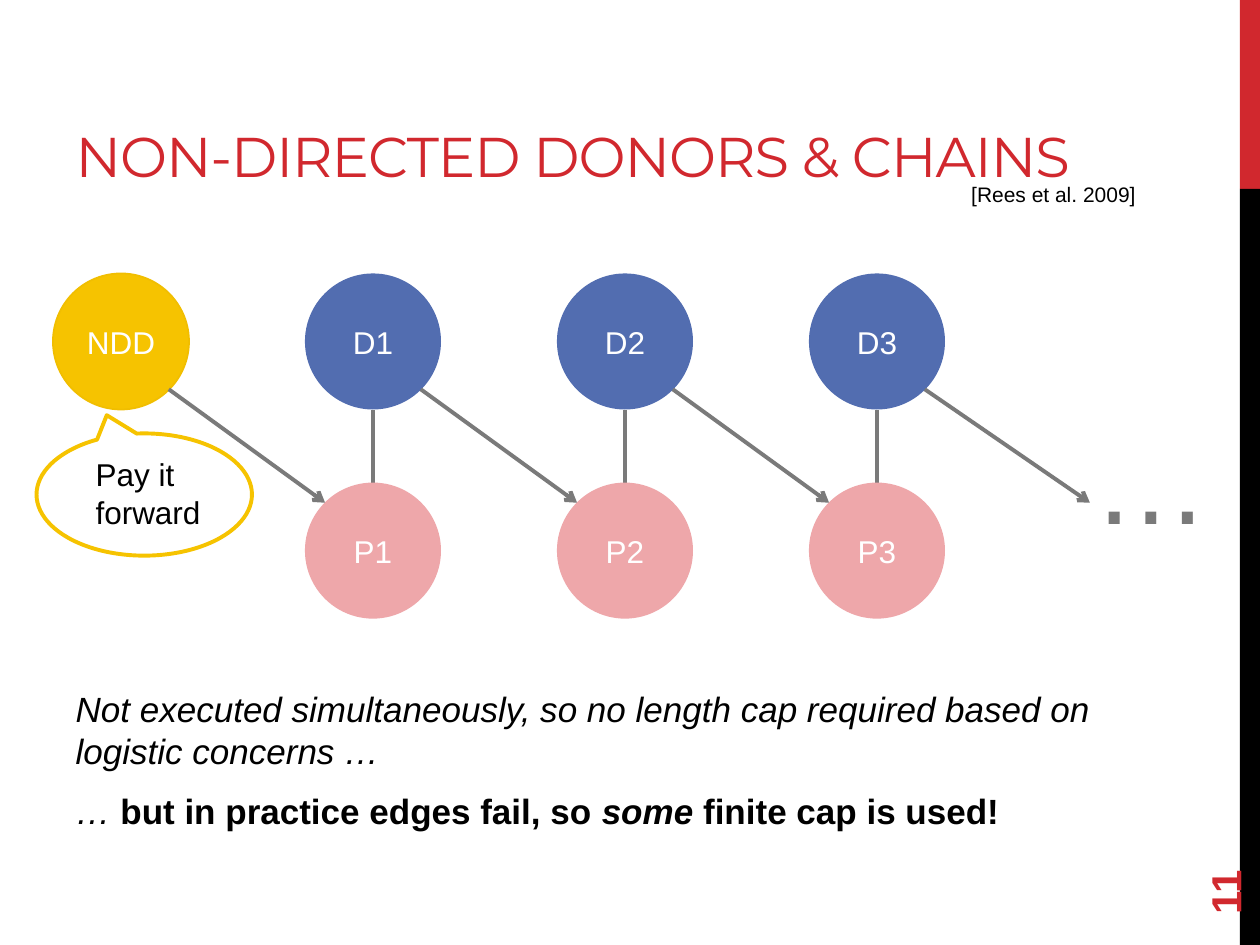
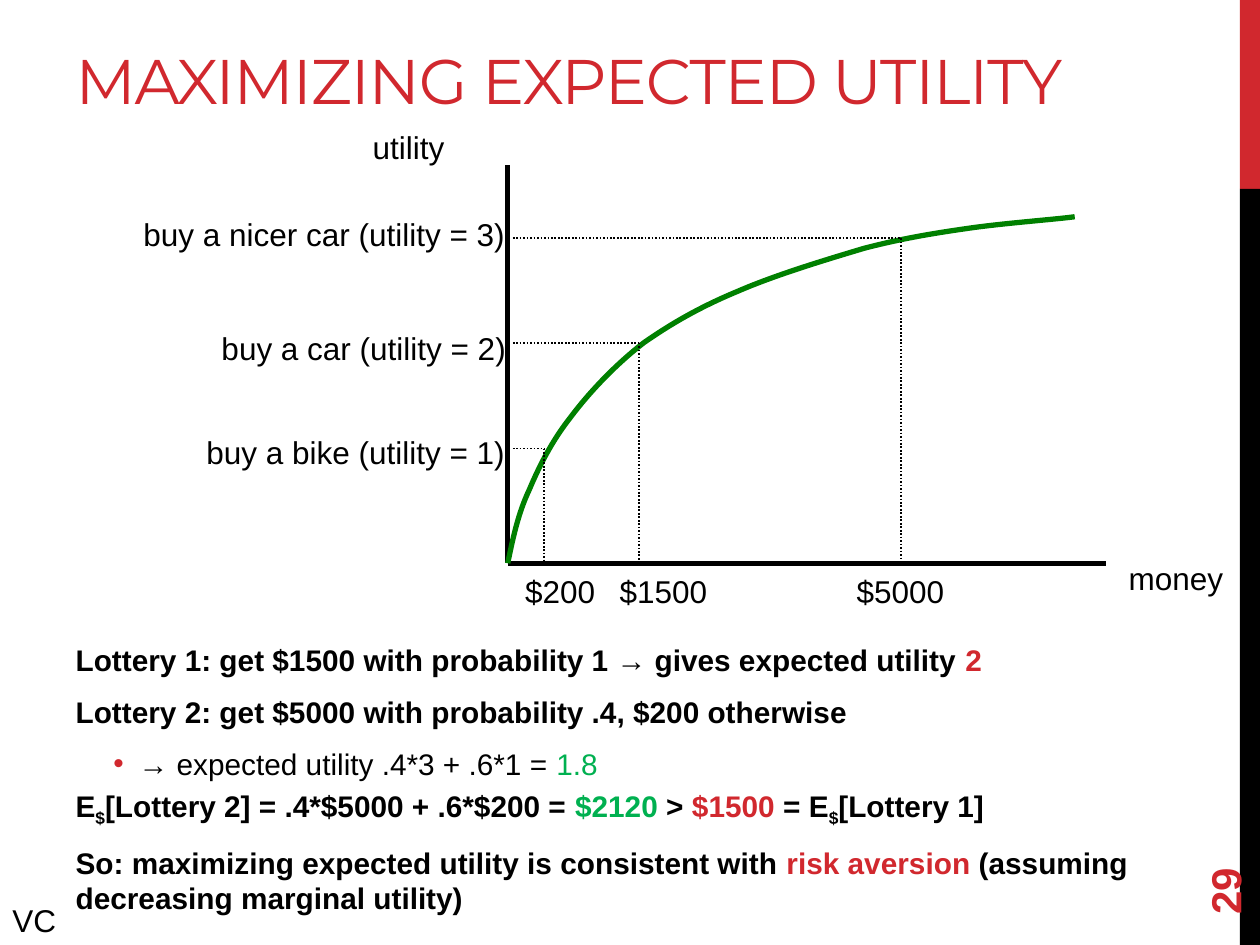
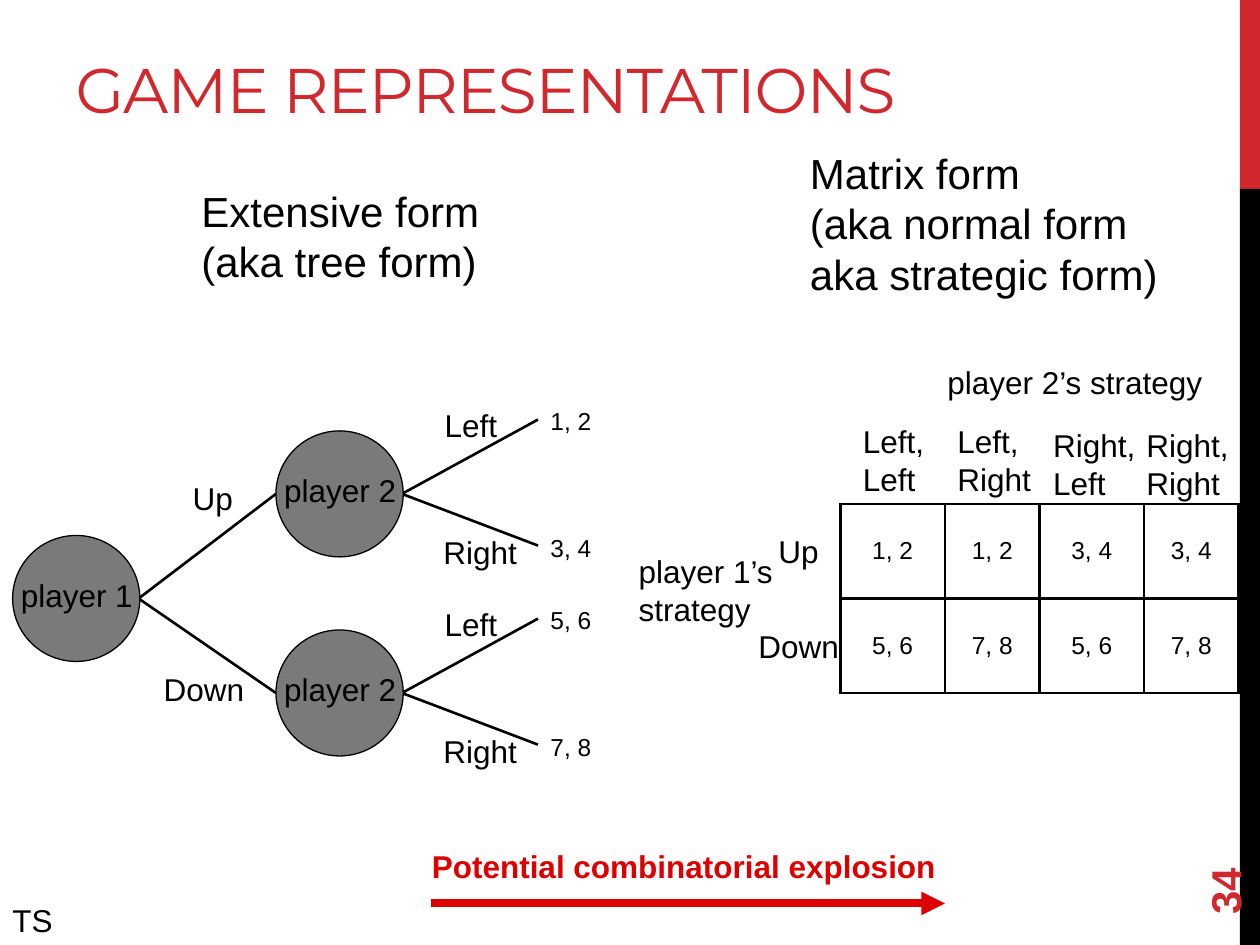
from dataclasses import dataclass
from lxml.etree import SubElement as Sub
from pptx import Presentation
from pptx.dml.color import RGBColor as RGB
from pptx.enum.dml import MSO_LINE as Dash
from pptx.enum.shapes import MSO_CONNECTOR as Link, MSO_SHAPE as Form
from pptx.enum.text import MSO_ANCHOR as Anchor, MSO_AUTO_SIZE as Fit, PP_ALIGN as Align
from pptx.oxml.ns import qn
from pptx.util import Inches, Pt


@dataclass(frozen=True)
class Theme:
    red: str = "D1282E"
    black: str = "000000"
    white: str = "FFFFFF"
    gray: str = "7A7A7A"
    gold: str = "F6C300"
    rim: str = "F1BE00"
    blue: str = "526DB0"
    pink: str = "EEA7AA"
    curve: str = "008000"
    gain: str = "00B050"
    alarm: str = "DC0000"
    head: str = "Montserrat"
    text: str = "Arial"
    small: int = 12
    pay: int = 14
    list: int = 17
    base: int = 18
    lead: int = 20
    big: int = 24
    dots: int = 66


T = Theme()


def write(text, home, at=None, **form):
    """Fill a shape, or a new text box at a grid place; runs may carry their own format."""
    base = dict(size=T.base, color=T.black, font=T.text, bold=False, italic=False, align=Align.LEFT,
                anchor=Anchor.TOP, wrap=False, fit=Fit.SHAPE_TO_FIT_TEXT) | form
    box = home.shapes.add_textbox(*map(Inches, at)) if at else home
    frame = box.text_frame
    frame.word_wrap, frame.auto_size = base["wrap"], base["fit"]
    frame.vertical_anchor = base["anchor"]
    lines = text.split("\n") if isinstance(text, str) else text
    for i, line in enumerate(lines):
        para = frame.add_paragraph() if i else frame.paragraphs[0]
        para.alignment = base["align"]
        if "after" in base:
            dot = i in base.get("dots", ())
            para.level = int(dot)
            para.space_after = Pt(0 if dot else base["after"])
            if i == 0:
                para.space_before = Pt(0)
            props = para._p.get_or_add_pPr()
            props.set("marL", str(Inches(0.5 if dot else 0)))
            props.set("indent", str(Inches(-0.2 if dot else 0)))
            if dot:
                Sub(Sub(props, qn("a:buClr")), qn("a:srgbClr"), val=T.red)
                Sub(props, qn("a:buChar"), char="•")
            else:
                Sub(props, qn("a:buNone"))
        for part in [line] if isinstance(line, str) else line:
            words, own = (part, {}) if isinstance(part, str) else part
            look = base | own
            run = para.add_run()
            run.text = words
            run.font.size, run.font.name = Pt(look["size"]), look["font"]
            run.font.bold, run.font.italic = look["bold"], look["italic"]
            run.font.color.rgb = RGB.from_string(look["color"])
            for key in ("spc", "baseline"):
                if key in look:
                    run.font._element.set(key, str(look[key]))
    return box


def join(slide, start, end, color=T.black, width=1.5, tip=None, dash=None):
    """Draw a straight line between two grid points."""
    wire = slide.shapes.add_connector(Link.STRAIGHT, *map(Inches, start + end))
    wire.line.color.rgb = RGB.from_string(color)
    wire.line.width = Pt(width)
    if dash:
        wire.line.dash_style = dash
    if tip:
        Sub(wire.line._get_or_add_ln(), qn("a:tailEnd"), type=tip)
    Sub(wire.element.spPr, qn("a:effectLst"))


# The grid is ten columns by seven and a half rows, one inch each
prs = Presentation()
prs.slide_width, prs.slide_height = Inches(10), Inches(7.5)

# Titles and page numbers
pages = [
    (1, "NON-DIRECTED DONORS & CHAINS", (0.5, 0.3, 9, 1.25), 32, "11"),
    (1, "MAXIMIZING EXPECTED UTILITY", (0.5, 0.17, 9.18, 0.81), 36, "29"),
    (5, "GAME REPRESENTATIONS", (0.5, 0.17, 7.58, 0.88), 36, "34"),
]
for kind, name, at, size, page in pages:
    slide = prs.slides.add_slide(prs.slide_layouts[kind])
    title = slide.shapes.title
    title.left, title.top, title.width, title.height = map(Inches, at)
    write(name, title, size=size, font=T.head, color=T.red, spc=-60,
          anchor=Anchor.BOTTOM, wrap=True, fit=Fit.NONE)
    tag = write(page, slide, (9, 6.44, 1.44, 0.4), size=T.big, color=T.red, bold=True,
                anchor=Anchor.MIDDLE, wrap=True, fit=Fit.NONE)
    tag.rotation = 270
chain, lotto, game = prs.slides

# Side bands, kept on the master
for i, (top, high, color) in enumerate([(0, 1.5, T.red), (1.5, 6, T.black)]):
    band = chain.shapes.add_shape(Form.RECTANGLE, *map(Inches, (9.84, top, 0.16, high)))
    band.shadow.inherit = False
    band.fill.solid()
    band.fill.fore_color.rgb = RGB.from_string(color)
    band.line.fill.background()
    band.element.nvSpPr.cNvPr.id = 20 + i
    prs.slide_master.shapes.element.append(band.element)

# Body lists
red, green = {"color": T.red}, {"color": T.gain}
bold, sub = {"bold": True, "italic": False}, {"baseline": -25000}
thin = {"bold": False}
notes = [
    (chain, (0.5, 5.41, 9, 1.55), dict(size=T.lead, italic=True), [
        "Not executed simultaneously, so no length cap required based on logistic concerns …",
        ["… ", ("but in practice edges fail, so ", bold), ("some", {"bold": True}),
         (" finite cap is used!", bold)],
    ]),
    (lotto, (0.5, 5.04, 8.87, 2.04), dict(size=T.list, bold=True, dots=(2,)), [
        ["Lottery 1: get $1500 with probability 1 → gives expected utility ", ("2", red)],
        "Lottery 2: get $5000 with probability .4, $200 otherwise",
        [("→ expected utility .4*3 + .6*1 = ", thin), ("1.8", green | thin)],
        ["E", ("$", sub), "[Lottery 2] = .4*$5000 + .6*$200 = ", ("$2120", green), " > ",
         ("$1500", red), " = E", ("$", sub), "[Lottery 1]"],
        ["So: maximizing expected utility is consistent with ", ("risk aversion", red),
         " (assuming decreasing marginal utility)"],
    ]),
]
for slide, at, form, lines in notes:
    body = slide.placeholders[1]
    body.left, body.top, body.width, body.height = map(Inches, at)
    write(lines, body, after=6, wrap=True, fit=Fit.NONE, **form)

# Chain: donors above patients, one pair every two columns
size, step, high, low = 1.08, 2, 2.17, 3.83
nodes = [("NDD", 0.42, high, T.gold)]
for n in (1, 2, 3):
    x = 0.42 + n * step
    nodes += [(f"D{n}", x, high, T.blue), (f"P{n}", x, low, T.pink)]
    join(chain, (x + size / 2, low), (x + size / 2, high + size), T.gray, 2.25)
for name, x, y, color in nodes:
    node = chain.shapes.add_shape(Form.OVAL, *map(Inches, (x, y, size, size)))
    node.shadow.inherit = False
    node.fill.solid()
    node.fill.fore_color.rgb = RGB.from_string(color)
    node.line.fill.background()
    if name == "NDD":
        node.line.color.rgb = RGB.from_string(T.rim)
        node.line.width = Pt(1)
    write(name, node, color=T.white, align=Align.CENTER, anchor=Anchor.MIDDLE, fit=Fit.NONE)
for n in range(4):
    x = 1.34 + n * step
    join(chain, (x, 3.09), (x + (1.24 if n < 3 else 1.31), 3.99), T.gray, 2.25, tip="arrow")
write("…", chain, (8.58, 3.2, 1, 1.21), size=T.dots, color=T.gray, wrap=True)

# Chain: callout and citation
bubble = chain.shapes.add_shape(Form.OVAL_CALLOUT, *map(Inches, (0.29, 3.44, 1.71, 0.97)))
bubble.adjustments[0], bubble.adjustments[1] = -0.174, -0.649
bubble.shadow.inherit = False
bubble.fill.solid()
bubble.fill.fore_color.rgb = RGB.from_string(T.white)
bubble.line.color.rgb = RGB.from_string(T.gold)
bubble.line.width = Pt(2.25)
write("Pay it forward", chain, (0.66, 3.56, 1.59, 0.71), wrap=True)
write("[Rees et al. 2009]", chain, (7.61, 1.39, 2.92, 0.3), size=T.small, wrap=True)

# Utility: axes
left, floor = 4.03, 4.47
join(lotto, (left, 1.31), (left, floor), width=3)
join(lotto, (left, floor), (8.78, floor), width=3)
write("utility", lotto, (2.86, 0.97, 0.77, 0.4))
write("money", lotto, (8.86, 4.39, 0.95, 0.4))

# Utility: curve, three points to each cubic segment
knots = [
    (4.07, 4.28), (4.11, 4.08), (4.2, 3.89), (4.28, 3.7), (4.38, 3.5), (4.53, 3.31),
    (4.68, 3.11), (4.89, 2.89), (5.11, 2.72), (5.34, 2.56), (5.57, 2.43), (5.86, 2.31),
    (6.16, 2.18), (6.56, 2.06), (6.86, 1.97), (7.17, 1.89), (7.42, 1.85), (7.7, 1.81),
    (7.98, 1.77), (8.39, 1.74), (8.53, 1.72),
]
pen = lotto.shapes.build_freeform(Inches(left), Inches(floor))
pen.add_line_segments([(Inches(x), Inches(y)) for x, y in knots], close=False)
curve = pen.convert_to_shape()
curve.shadow.inherit = False
curve.fill.background()
curve.line.color.rgb = RGB.from_string(T.curve)
curve.line.width = Pt(3)
track = next(curve.element.iter(qn("a:path")))
legs = track.findall(qn("a:lnTo"))
for i in range(0, len(legs), 3):
    bend = Sub(track, qn("a:cubicBezTo"))
    for leg in legs[i:i + 3]:
        bend.append(leg[0])
        track.remove(leg)

# Utility: guides with their labels
guides = [
    (4.32, 3.56, "buy a bike (utility = 1)", (1.54, 3.39, 2.57), "$200", (4.07, 0.76)),
    (5.07, 2.72, "buy a car (utility = 2)", (1.66, 2.56, 2.46), "$1500", (4.82, 0.9)),
    (7.15, 1.89, "buy a nicer car (utility = 3)", (1.04, 1.66, 3.07), "$5000", (6.7, 0.9)),
]
for x, y, good, at, cost, (start, wide) in guides:
    join(lotto, (4.07, y), (x, y), width=1, dash=Dash.ROUND_DOT)
    join(lotto, (x, y), (x, floor), width=1, dash=Dash.ROUND_DOT)
    write(good, lotto, at + (0.4,))
    write(cost, lotto, (start, 4.49, wide, 0.4))

# Initials in the corner
for slide, name in [(lotto, "VC"), (game, "TS")]:
    write(name, slide, (0, 7.1, 0.56, 0.4), wrap=True)

# Game tree
write("Extensive form\n(aka tree form)", game, (1.5, 1.42, 2.52, 0.91), size=T.big)
pays = iter(["1, 2", "3, 4", "5, 6", "7, 8"])
for y in (3.42, 5):
    hub = y + 0.5
    join(game, (1.1, 4.75), (2.19, hub))
    for move, x, wide, gap, rise in [("Left", 3.43, 0.62, -0.25, -0.59),
                                     ("Right", 3.42, 0.79, 0.76, 0.41)]:
        join(game, (3.19, hub), (4.27, hub + rise))
        write(move, game, (x, y + gap, wide, 0.4))
        write(next(pays), game, (4.27, y + gap, 0.53, 0.34), size=T.pay)
for name, x, y in [("player 1", 0.1, 4.25), ("player 2", 2.19, 3.42), ("player 2", 2.19, 5)]:
    disc = game.shapes.add_shape(Form.OVAL, *map(Inches, (x, y, 1.01, 1)))
    disc.shadow.inherit = False
    disc.fill.solid()
    disc.fill.fore_color.rgb = RGB.from_string(T.gray)
    disc.line.color.rgb = RGB.from_string(T.black)
    disc.line.width = Pt(0.75)
    write(name, game, (x - 0.04, y + 0.27, 1.1, 0.4), align=Align.CENTER)
write("Up", game, (1.43, 3.75, 0.52, 0.4))
write("Down", game, (1.2, 5.27, 0.85, 0.4))

# Game matrix: labels
write("Matrix form\n(aka normal form\naka strategic form)", game, (6.33, 1.12, 2.99, 1.31), size=T.big)
labels = [
    ("player 1’s\nstrategy", (4.97, 4.33, 1.27, 0.71)),
    ("player 2’s strategy", (7.42, 2.83, 2.32, 0.4)),
    ("Up", (6.08, 4.17, 0.52, 0.4)),
    ("Down", (5.92, 4.93, 0.85, 0.4)),
    ("Left,\nLeft", (6.75, 3.3, 0.69, 0.71)),
    ("Left,\nRight", (7.5, 3.3, 0.79, 0.71)),
    ("Right,\nLeft", (8.26, 3.33, 0.86, 0.71)),
    ("Right,\nRight", (9, 3.33, 0.86, 0.71)),
]
for name, at in labels:
    write(name, game, at)

# Game matrix: payoffs
rows = [["1, 2", "1, 2", "3, 4", "3, 4"], ["5, 6", "7, 8", "5, 6", "7, 8"]]
grid = game.shapes.add_table(2, 4, *map(Inches, (6.67, 4, 3.16, 1.5))).table
grid.first_row = grid.horz_banding = False
for i, wide in enumerate((0.83, 0.75) * 2):
    grid.columns[i].width = Inches(wide)
for r, row in enumerate(rows):
    grid.rows[r].height = Inches(0.75)
    for c, pay in enumerate(row):
        cell = grid.cell(r, c)
        write(pay, cell, size=T.pay, align=Align.CENTER, wrap=True, fit=None, anchor=None)
        cell.vertical_anchor = Anchor.MIDDLE
        props = cell._tc.get_or_add_tcPr()
        for side in ("a:lnL", "a:lnR", "a:lnT", "a:lnB"):
            edge = Sub(props, qn(side), w=str(Pt(1.5)))
            Sub(Sub(edge, qn("a:solidFill")), qn("a:srgbClr"), val=T.black)
        cell.fill.background()

# Warning arrow
write("Potential combinatorial explosion", game, (3.33, 6.67, 4.24, 0.4), color=T.alarm, bold=True)
join(game, (3.42, 7.17), (7.5, 7.17), T.alarm, 4.5, tip="triangle")

prs.save("out.pptx")
